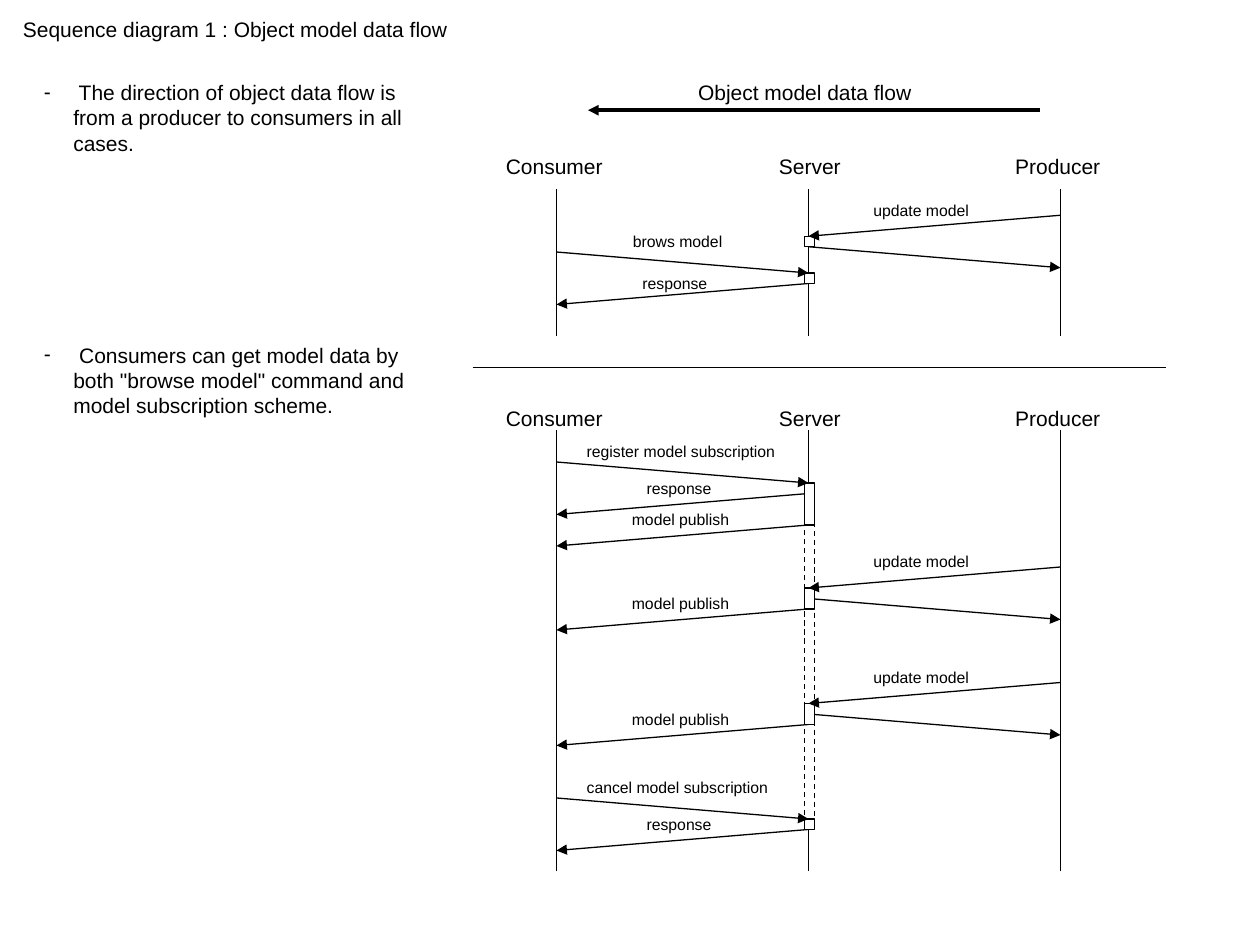
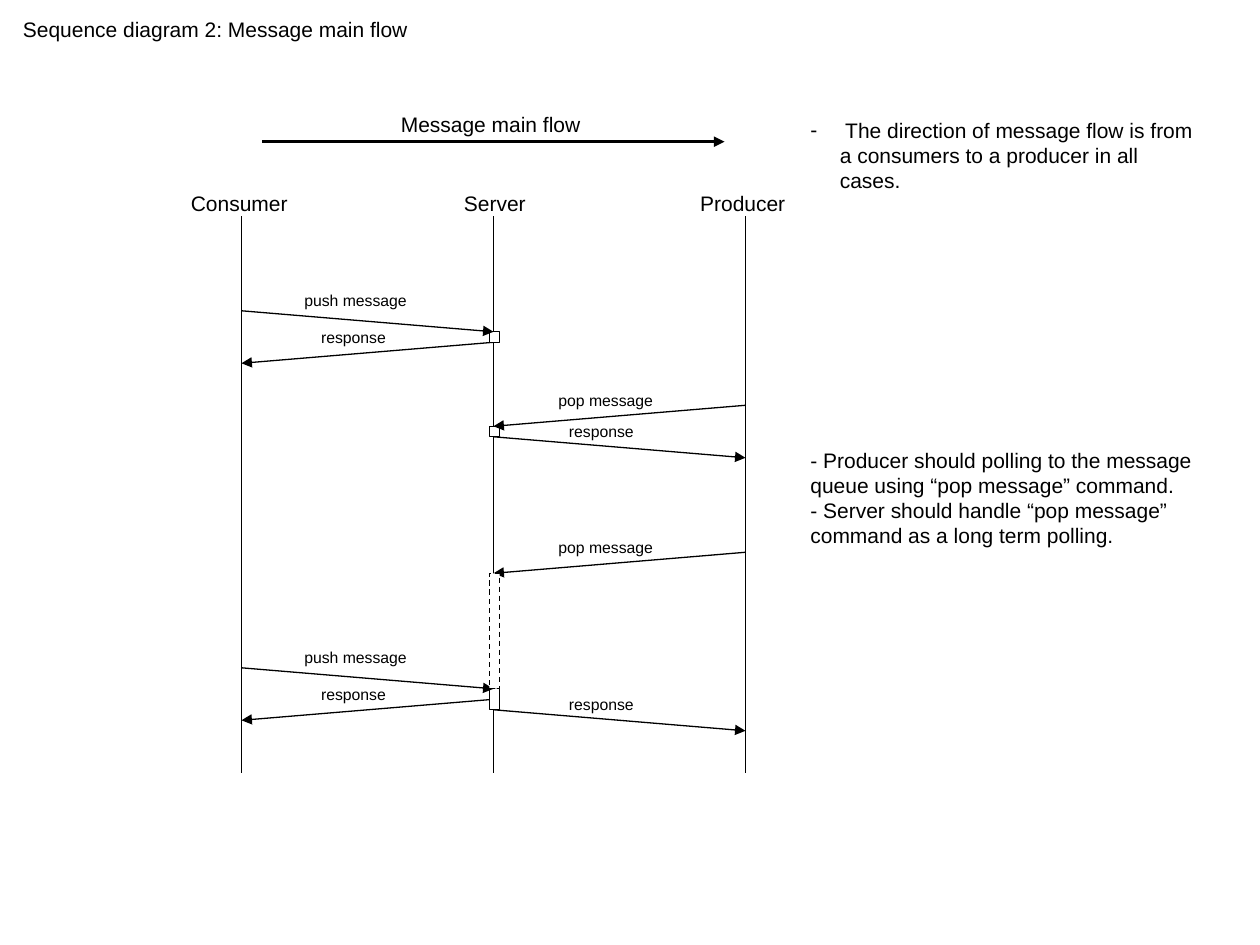
from dataclasses import dataclass

from lxml import etree
from pptx import Presentation
from pptx import util as u
from pptx.dml.color import RGBColor
from pptx.enum import dml, shapes, text
from pptx.oxml.ns import qn

PX = 7620  # EMU per px, 120 px to the inch
INK, PAPER = "000000", "FFFFFF"
FONT = "Arial"
LANE = 240  # gap between lifelines
CONSUMER, SERVER, PRODUCER = 0, LANE, 2 * LANE
DROP = 20  # fall of a message along its way
BAR = 10  # width of an activation bar

# Box widths of the labels that recur
WIDTHS = {
    "Consumer": 116, "Server": 83, "Producer": 104,
    "update model": 115, "brows model": 109, "model publish": 116,
    "register model subscription": 203, "cancel model subscription": 197,
    "push message": 121, "pop message": 114, "response": 85,
}


@dataclass
class Message:
    y: int
    source: int
    target: int
    label: str = ""
    left: int = 0
    lift: int = 20  # label top above the message start


def px(*lengths):
    return [length * PX for length in lengths]


def color(value):
    return RGBColor.from_string(value)


# Basic parts
def add_bullet(para, size):
    """Dash with a hanging indent; it takes its size from the first span."""
    props = para._p.get_or_add_pPr()
    props.set("marL", str(28 * PX))
    props.set("indent", str(-28 * PX))
    props.insert(0, etree.Element(qn("a:buFont"), typeface=FONT))
    props.insert(1, etree.Element(qn("a:buChar"), char="-"))
    span = para.runs[0]
    span.font.name = FONT
    span.font.size = u.Pt(size)


def add_text(page, left, top, width, lines, size=12, wrap=False, bullet=False):
    height = 30 if size == 12 else 25
    box = page.shapes.add_textbox(*px(left, top, width, height))
    frame = box.text_frame
    frame.word_wrap = wrap
    frame.auto_size = text.MSO_AUTO_SIZE.SHAPE_TO_FIT_TEXT
    if not wrap:
        frame.margin_right = 0  # spare room keeps a label on one line
    frame.text = "\n".join(lines)
    for para in frame.paragraphs:
        para.font.name = FONT
        para.font.size = u.Pt(size)
        para.font.color.rgb = color(INK)
        if bullet:
            add_bullet(para, size)
    return box


def add_line(page, start, end, weight=0.75, arrow=False):
    line = page.shapes.add_connector(
        shapes.MSO_CONNECTOR.STRAIGHT, *px(*start, *end))
    line.line.color.rgb = color(INK)
    line.line.width = u.Pt(weight)
    if arrow:
        etree.SubElement(line.line._get_or_add_ln(), qn("a:tailEnd"),
                         type="triangle")
    etree.SubElement(line._element.spPr, qn("a:effectLst"))


def add_title(page, width, title):
    add_text(page, 10, 10, width, [title])


def add_note(page, left, top, height, lines, bullet=True):
    note = add_text(page, left, top, 390, lines, wrap=True, bullet=bullet)
    note.height = height * PX


def add_flow(page, start, end, y, label, left, width):
    """Thick arrow with its caption above."""
    add_line(page, (start, y), (end, y), weight=2, arrow=True)
    add_text(page, left, y - 35, width, [label])


# Parts of a sequence diagram, relative to the top of the consumer's lifeline
def add_lifelines(page, left, top, height, rise=30):
    for x, name, shift in ((CONSUMER, "Consumer", -60),
                           (SERVER, "Server", -40),
                           (PRODUCER, "Producer", -55)):
        add_line(page, (left + x, top), (left + x, top + height))
        add_text(page, left + x + shift, top - rise, WIDTHS[name], [name])


def add_bars(page, left, top, bars, dashed=False):
    for y, height in bars:
        bar = page.shapes.add_shape(
            shapes.MSO_SHAPE.RECTANGLE,
            *px(left + SERVER - 4, top + y, BAR, height))
        bar.shadow.inherit = False
        bar.fill.solid()
        bar.fill.fore_color.rgb = color(PAPER)
        bar.line.color.rgb = color(INK)
        bar.line.width = u.Pt(0.75)
        if dashed:
            bar.line.dash_style = dml.MSO_LINE.DASH


def add_messages(page, left, top, messages):
    for message in messages:
        y = top + message.y
        add_line(page, (left + message.source, y),
                 (left + message.target, y + DROP), arrow=True)
        if message.label:
            add_text(page, left + message.left, y - message.lift,
                     WIDTHS[message.label], [message.label], size=9)


def add_exchange(page, left, top, messages, bars):
    """Server replies lie behind the bars, requests in front."""
    replies = [m for m in messages if m.source == SERVER]
    requests = [m for m in messages if m.source != SERVER]
    add_messages(page, left, top, replies)
    add_bars(page, left, top, bars)
    add_messages(page, left, top, requests)


# Messages that recur
def update(y):
    return [Message(y, PRODUCER, SERVER, "update model", 290),
            Message(y + 30, SERVER, PRODUCER)]


def publish(y):
    return Message(y, SERVER, CONSUMER, "model publish", 60)


def ask(y, label, left):
    return Message(y, CONSUMER, SERVER, label, left, 25)


def respond(y, left, target=CONSUMER, lift=20):
    return Message(y, SERVER, target, "response", left, lift)


def pop(y):
    return Message(y, PRODUCER, SERVER, "pop message", 290)


# Slides
def object_model_slide(page):
    left = 530
    add_title(page, 428, "Sequence diagram 1 : Object model data flow")
    add_flow(page, 990, 560, 105, "Object model data flow", 653, 227)
    add_note(page, 30, 70, 84, [
        " The direction of object data flow is from a producer to consumers"
        " in all cases."])
    add_note(page, 30, 320, 84, [
        ' Consumers can get model data by both "browse model" command and'
        " model subscription scheme."])

    # Browsing
    add_lifelines(page, left, 180, 140, rise=40)
    add_exchange(
        page, left, 180,
        [*update(25), ask(60, "brows model", 61), respond(90, 70, lift=15)],
        [(45, 10), (80, 10)])
    add_line(page, (450, 350), (1110, 350))

    # Subscription
    top = 410
    add_lifelines(page, left, top, 420)
    add_bars(page, left, top, [(90, 280)], dashed=True)
    add_exchange(
        page, left, top,
        [ask(30, "register model subscription", 17), respond(60, 74),
         publish(90), *update(130), publish(170), *update(240), publish(280),
         ask(350, "cancel model subscription", 17), respond(380, 74)],
        [(50, 40), (150, 20), (260, 20), (370, 10)])


def message_slide(page):
    left, top = 230, 206
    add_title(page, 390, "Sequence diagram 2: Message main flow")
    add_flow(page, 250, 690, 135, "Message main flow", 370, 194)
    add_note(page, 760, 106, 84, [
        " The direction of message flow is from a consumers to a producer"
        " in all cases."])
    add_note(page, 760, 420, 108, [
        "- Producer should polling to the message queue using"
        " “pop message” command.",
        "- Server should handle “pop message” command as a long term"
        " polling."], bullet=False)

    # Push and pop, then long polling
    add_lifelines(page, left, top, 530)
    add_exchange(
        page, left, top,
        [ask(90, "push message", 48), respond(120, 64),
         pop(180), respond(210, 300, PRODUCER),
         pop(320), ask(430, "push message", 48), respond(460, 64),
         respond(470, 300, PRODUCER)],
        [(110, 10), (200, 10), (450, 20)])
    add_bars(page, left, top, [(340, 110)], dashed=True)


def main():
    deck = Presentation()
    deck.slide_width, deck.slide_height = px(1200, 900)
    for build in (object_model_slide, message_slide):
        build(deck.slides.add_slide(deck.slide_layouts[6]))
    deck.save("out.pptx")


if __name__ == "__main__":
    main()
